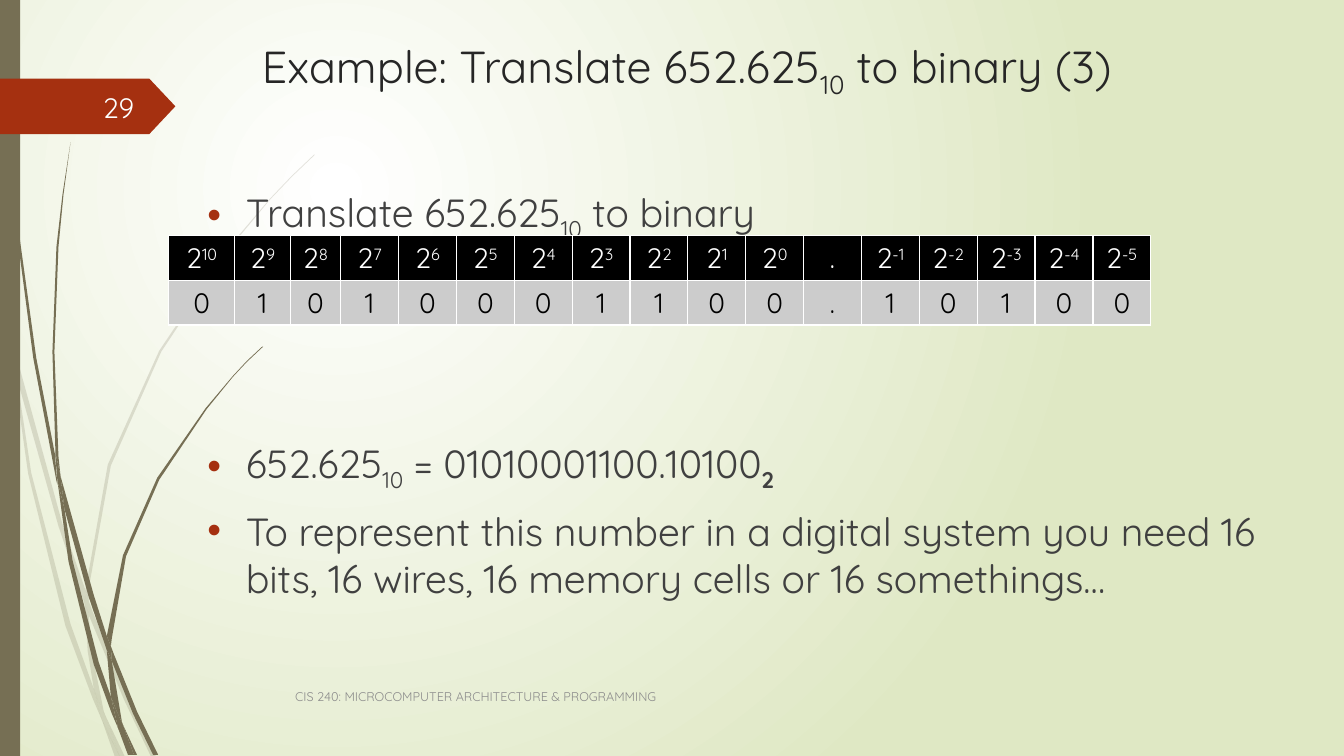
"""Builds a slide that translates a decimal number to binary on a grid of tenth-inch cells."""
from dataclasses import dataclass
from typing import NamedTuple

from lxml.etree import SubElement
from pptx import Presentation
from pptx.dml.color import RGBColor
from pptx.enum.shapes import MSO_SHAPE
from pptx.enum.text import MSO_ANCHOR, PP_ALIGN
from pptx.oxml.ns import qn
from pptx.util import Emu, Inches, Pt

CELL = Inches(0.1)
COLUMNS, ROWS = 133.33, 75
FONT = "Quicksand"
COLORS = {
    "white": "FFFFFF", "meadow": "DFE8C4", "olive": "766F54", "rust": "A53010",
    "title": "262626", "body": "404040", "page": "FEFFFF", "footer": "8C8C8C",
    "black": "000000", "silver": "CCCCCC",
}


class Area(NamedTuple):
    left: float
    top: float
    width: float
    height: float


class Piece(NamedTuple):
    text: str
    baseline: int = 0
    bold: bool = False


@dataclass(frozen=True)
class Line:
    pieces: tuple[Piece, ...]
    space_before: float = 0
    bullet: bool = False


@dataclass(frozen=True)
class Passage:
    area: Area
    lines: tuple[Line, ...]
    size: float
    color: str
    align: PP_ALIGN = PP_ALIGN.LEFT
    anchor: MSO_ANCHOR = MSO_ANCHOR.TOP


@dataclass(frozen=True)
class Grass:
    blades: tuple[tuple[tuple[float, float], ...], ...]
    opacity: int


TEN = Piece("10", -25)
PASSAGES = (
    Passage(Area(25, 3.35, 91.7, 8.3), (
        Line((Piece("Example: Translate 652.625"), TEN, Piece(" to binary (3)"))),
    ), 32, "title"),
    Passage(Area(19.6, 18.2, 109.5, 41.3), (
        Line((Piece("Translate 652.625"), TEN, Piece(" to binary")), bullet=True),
        Line((Piece("652.625"), TEN, Piece(" = 01010001100.10100"), Piece("2", -25, True)), 141, True),
        Line((Piece("To represent this number in a digital system you need 16 bits, "
                    "16 wires, 16 memory cells or 16 somethings…"),), 10, True),
    ), 28, "body"),
    Passage(Area(5.8, 8.6, 8.5, 4), (Line((Piece("29"),)),), 20, "page", PP_ALIGN.RIGHT, MSO_ANCHOR.MIDDLE),
    Passage(Area(28.3, 67.1, 83.3, 4), (
        Line((Piece("CIS 240: MICROCOMPUTER ARCHITECTURE & PROGRAMMING"),)),
    ), 9, "footer", anchor=MSO_ANCHOR.MIDDLE),
)

PALE_GRASS = Grass((
    ((1.1, 35), (0.9, 32.2), (0, 28.2), (0, 29.9), (1, 34.4)),
    ((5.8, 52.2), (8.4, 59.9), (8.5, 58.6), (6.2, 52), (1.4, 34.5), (1.7, 37.6)),
    ((9.2, 60.7), (8.8, 59.6), (8.8, 61), (12.3, 69.4), (15, 75.1), (15.5, 75.1), (12.7, 69.2)),
    ((11.9, 75.1), (12.4, 75.1), (10.5, 71.1)),
    ((9.3, 68.3), (7, 61.9), (3.1, 46.9), (1.7, 37.6), (1.1, 35), (2.8, 47), (6.5, 62.1),
     (9.2, 69.3), (10.1, 71.4), (9.9, 70.7)),
    ((8.4, 59.9), (8.7, 64.6), (9.3, 68.3), (9.6, 69.2), (10.5, 71.1), (10.3, 70.6), (9.1, 64.6),
     (8.8, 61), (8.8, 60.8)),
    ((8.8, 58.4), (11, 46.2), (16, 34.9), (22.9, 24.5), (26.8, 19.8), (29, 17.5), (31.2, 15.4),
     (31.2, 15.3), (28.9, 17.5), (26.8, 19.7), (22.8, 24.4), (15.8, 34.8), (10.7, 46.1),
     (8.5, 58.4), (8.5, 58.6), (8.8, 59.6)),
    ((10.1, 71.4), (11.4, 75.1), (11.9, 75.1)),
    ((8.8, 60.8), (8.8, 59.6), (8.5, 58.6), (8.4, 59.9)),
    ((9.6, 69.2), (9.3, 68.3), (9.9, 70.7), (10.1, 71.4), (11.9, 75.1), (10.5, 71.1)),
), 20)

DARK_GRASS = Grass((
    ((0.7, 11), (1.7, 23.3), (3.3, 35.5), (5.6, 47.7), (5.7, 48.1), (5.5, 45.7), (5.5, 45.3),
     (3.6, 35.5), (1.9, 23.2), (0.8, 10.9), (0.5, 4.8), (0.4, 0), (0.3, 0), (0.4, 4.8)),
    ((8.8, 59.2), (10.6, 64.5), (10.6, 63.1), (9.3, 59), (6, 47.2), (6.4, 50.5)),
    ((11.3, 64.9), (11, 64.1), (11.1, 65.6), (13.2, 70.8), (15.2, 74.9), (15.7, 74.9), (13.6, 70.6)),
    ((11, 69.1), (9.8, 65.7), (7.2, 55.6), (6.4, 50.5), (5.7, 47.7), (6.8, 55.7), (9.3, 65.9),
     (11.1, 70.8), (11.7, 72.2), (11.6, 71.7)),
    ((6, 47.2), (5.8, 45.3), (5.4, 34.9), (5.8, 24.5), (6.3, 19.3), (7, 14.1), (6.2, 19.3),
     (5.6, 24.5), (5.2, 34.9), (5.5, 44.9)),
    ((13.3, 74.9), (13.6, 74.9), (12.2, 71.9)),
    ((5.7, 47.7), (6.4, 50.5), (6, 47.2), (5.5, 44.9), (5.5, 45.3)),
    ((11.1, 63.3), (12.5, 55.2), (15.8, 47.6), (20.5, 40.6), (23.1, 37.4), (24.5, 35.9), (26.1, 34.4),
     (26, 34.4), (24.5, 35.8), (23.1, 37.3), (20.4, 40.5), (15.6, 47.4), (12.2, 55.1),
     (10.6, 63.1), (11, 64.1)),
    ((11.7, 72.2), (12.7, 74.9), (13.1, 74.9)),
    ((10.6, 64.5), (11, 69.1), (11.6, 70.6), (12.2, 71.9), (12.1, 71.6), (11.1, 65.6), (10.9, 65.1)),
    ((10.6, 64.5), (10.9, 65.1), (11.1, 65.6), (11, 64.1), (10.6, 63.1)),
    ((11.6, 70.6), (11, 69.1), (11.6, 71.7), (11.7, 72.2), (13, 74.9), (13.3, 74.9), (12.2, 71.9)),
), 100)

TABLE_AREA = Area(16.7, 23.35, 97.5, 8.9)
FIRST_WIDTHS = (6.6, 5.5, 5)
POWERS = [str(power) for power in range(10, -1, -1)] + [""] + [str(power) for power in range(-1, -6, -1)]
BITS = "01010001100.10100"


def units(cells: float) -> Emu:
    """Turn grid cells into slide units."""
    return Emu(round(cells * CELL))


def rgb(color: str) -> RGBColor:
    """Look up a named colour."""
    return RGBColor.from_string(COLORS[color])


def write(paragraph, pieces: tuple[Piece, ...], size: float, color: str) -> None:
    """Fill a paragraph with formatted pieces of text."""
    for piece in pieces:
        run = paragraph.add_run()
        run.text = piece.text
        run.font.name, run.font.size, run.font.bold = FONT, Pt(size), piece.bold
        run.font.color.rgb = rgb(color)
        if piece.baseline:
            run.font._element.set("baseline", str(piece.baseline * 1000))


def add_bullet(paragraph) -> None:
    """Give a paragraph a hanging rust bullet."""
    properties = paragraph._p.get_or_add_pPr()
    properties.set("marL", str(Inches(0.38)))
    properties.set("indent", str(-Inches(0.38)))
    bullet_color = SubElement(properties, qn("a:buClr"))
    SubElement(bullet_color, qn("a:srgbClr"), val=COLORS["rust"])
    SubElement(properties, qn("a:buFont"), typeface="Arial")
    SubElement(properties, qn("a:buChar"), char="•")


def add_passage(slide, passage: Passage) -> None:
    """Place a block of text."""
    frame = slide.shapes.add_textbox(*map(units, passage.area)).text_frame
    frame.word_wrap, frame.vertical_anchor = True, passage.anchor
    for index, line in enumerate(passage.lines):
        paragraph = frame.add_paragraph() if index else frame.paragraphs[0]
        paragraph.alignment, paragraph.space_before = passage.align, Pt(line.space_before)
        if line.bullet:
            add_bullet(paragraph)
        write(paragraph, line.pieces, passage.size, passage.color)


def paint(shape, color: str, opacity: int = 100) -> None:
    """Fill a shape flatly, without outline or shadow."""
    shape.shadow.inherit = False
    shape.fill.solid()
    shape.fill.fore_color.rgb = rgb(color)
    shape.line.fill.background()
    if opacity < 100:
        tint = shape._element.spPr.find(qn("a:solidFill"))[0]
        SubElement(tint, qn("a:alpha"), val=str(opacity * 1000))


def add_grass(slide, grass: Grass) -> None:
    """Draw every blade of one tuft of grass."""
    for blade in grass.blades:
        root, *tips = [(units(x), units(y)) for x, y in blade]
        builder = slide.shapes.build_freeform(*root)
        builder.add_line_segments(tips)
        paint(builder.convert_to_shape(), "olive", grass.opacity)


def fill_cell(cell, pieces: tuple[Piece, ...], fill: str, ink: str) -> None:
    """Fill one table cell and give it white borders."""
    cell.fill.solid()
    cell.fill.fore_color.rgb = rgb(fill)
    paragraph = cell.text_frame.paragraphs[0]
    paragraph.alignment = PP_ALIGN.CENTER
    write(paragraph, pieces, 20, ink)
    properties = cell._tc.get_or_add_tcPr()
    for position, side in enumerate(("a:lnL", "a:lnR", "a:lnT", "a:lnB")):
        border = SubElement(properties, qn(side), w=str(Pt(1)))
        SubElement(SubElement(border, qn("a:solidFill")), qn("a:srgbClr"), val=COLORS["white"])
        properties.insert(position, border)


def add_place_values(slide) -> None:
    """Add the table of powers of two and their bits."""
    table = slide.shapes.add_table(2, len(BITS), *map(units, TABLE_AREA)).table
    table.first_row = table.horz_banding = False
    rest = len(BITS) - len(FIRST_WIDTHS)
    widths = FIRST_WIDTHS + ((TABLE_AREA.width - sum(FIRST_WIDTHS)) / rest,) * rest
    for index, (power, bit, width) in enumerate(zip(POWERS, BITS, widths)):
        table.columns[index].width = units(width)
        place = (Piece("2"), Piece(power, 30)) if power else (Piece("."),)
        fill_cell(table.cell(0, index), place, "black", "white")
        fill_cell(table.cell(1, index), (Piece(bit),), "silver", "black")


def add_background(slide) -> None:
    """Paint the round glow behind the slide."""
    fill = slide.background.fill
    fill.gradient()
    for stop, color in zip(fill.gradient_stops, ("white", "meadow")):
        stop.color.rgb = rgb(color)
    gradient = slide.element.find(".//" + qn("a:gradFill"))
    gradient.remove(gradient.find(qn("a:lin")))
    glow = SubElement(gradient, qn("a:path"), path="circle")
    SubElement(glow, qn("a:fillToRect"), l="50000", t="50000", r="100000", b="100000")


def main() -> None:
    """Build and save the slide."""
    deck = Presentation()
    deck.slide_width, deck.slide_height = units(COLUMNS), units(ROWS)
    slide = deck.slides.add_slide(deck.slide_layouts[6])
    add_background(slide)
    for grass in (PALE_GRASS, DARK_GRASS):
        add_grass(slide, grass)
    paint(slide.shapes.add_shape(MSO_SHAPE.RECTANGLE, *map(units, Area(0, 0, 2, ROWS))), "olive")
    page_tag = slide.shapes.add_shape(MSO_SHAPE.PENTAGON, *map(units, Area(0, 7.8, 17.4, 5.5)))
    page_tag.adjustments[0] = 0.47
    paint(page_tag, "rust")
    for passage in PASSAGES:
        add_passage(slide, passage)
    add_place_values(slide)
    deck.save("out.pptx")


if __name__ == "__main__":
    main()
